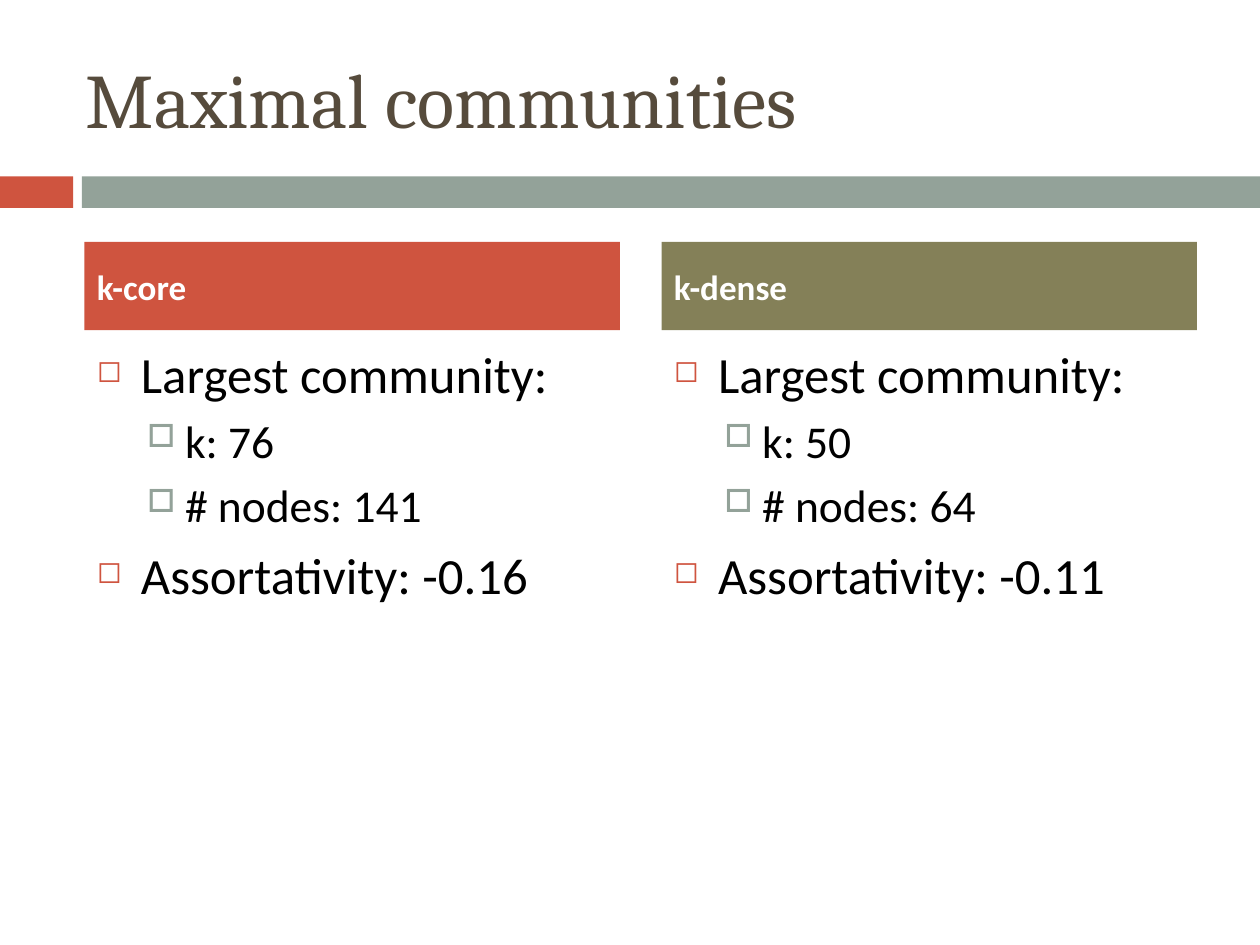
from lxml import etree
from pptx import Presentation
from pptx.dml.color import RGBColor
from pptx.enum.shapes import MSO_SHAPE
from pptx.enum.text import MSO_ANCHOR, PP_ALIGN
from pptx.oxml.ns import qn
from pptx.util import Inches, Pt

RECTANGLE = MSO_SHAPE.RECTANGLE
MIDDLE = MSO_ANCHOR.MIDDLE
LEFT = PP_ALIGN.LEFT

COLORS = {
    "title": "564B3C",
    "red": "CF543F",
    "sage": "93A299",
    "olive": "848058",
    "black": "000000",
    "white": "FFFFFF",
}

# Per outline level: text format, then bullet format
LEVELS = [
    (dict(size=29, before=7),
     dict(char="◻", color="red", percent=60, indent=0.35, hanging=0.35)),
    (dict(size=26, before=5.5),
     dict(char="□", color="sage", percent=70, indent=0.7, hanging=0.3)),
]

COLUMN_LEFT, COLUMN_WIDTH, COLUMN_STEP = 0.67, 4.25, 4.58
COLUMNS = [
    ("k-core", "red", 76, 141, "-0.16"),
    ("k-dense", "olive", 50, 64, "-0.11"),
]


def write(paragraph, text, size, color="black", font="Calibri", bold=False, before=0):
    paragraph.alignment = LEFT
    paragraph.space_before = Pt(before)
    run = paragraph.add_run()
    run.text = text
    run.font.name = font
    run.font.size = Pt(size)
    run.font.bold = bold
    run.font.color.rgb = RGBColor.from_string(COLORS[color])


def set_bullet(paragraph, char, color, percent, indent, hanging):
    properties = paragraph._p.get_or_add_pPr()
    properties.set("marL", str(Inches(indent)))
    properties.set("indent", str(-Inches(hanging)))
    bullet_color = etree.SubElement(properties, qn("a:buClr"))
    etree.SubElement(bullet_color, qn("a:srgbClr"), val=COLORS[color])
    etree.SubElement(properties, qn("a:buSzPct"), val=str(percent * 1000))
    etree.SubElement(properties, qn("a:buChar"), char=char)


def add_block(slide, left, top, width, height, color):
    block = slide.shapes.add_shape(
        RECTANGLE, Inches(left), Inches(top), Inches(width), Inches(height))
    block.shadow.inherit = False
    block.fill.solid()
    block.fill.fore_color.rgb = RGBColor.from_string(COLORS[color])
    block.line.fill.background()
    return block


def add_title(slide, text):
    title = slide.shapes.title
    title.left, title.top = Inches(0.58), Inches(0.3)
    title.width, title.height = Inches(8.92), Inches(0.95)
    title.text_frame.vertical_anchor = MIDDLE
    write(title.text_frame.paragraphs[0], text, 44, color="title", font="Cambria")


def add_header(slide, left, text, color):
    header = add_block(slide, left, 1.92, COLUMN_WIDTH, 0.7, color)
    header.text_frame.vertical_anchor = MIDDLE
    write(header.text_frame.paragraphs[0], text, 20, color="white", bold=True, before=7)


def add_outline(slide, left, items):
    outline = slide.shapes.add_textbox(
        Inches(left), Inches(2.67), Inches(COLUMN_WIDTH), Inches(3.92))
    frame = outline.text_frame
    frame.word_wrap = True
    for index, (level, text) in enumerate(items):
        paragraph = frame.add_paragraph() if index else frame.paragraphs[0]
        paragraph.level = level
        text_format, bullet_format = LEVELS[level]
        write(paragraph, text, **text_format)
        set_bullet(paragraph, **bullet_format)


def main():
    deck = Presentation()
    deck.slide_width, deck.slide_height = Inches(10), Inches(7.5)
    slide = deck.slides.add_slide(deck.slide_layouts[5])

    # Title and the band below it
    add_block(slide, 0, 1.4, 0.58, 0.25, "red")
    add_block(slide, 0.65, 1.4, 9.35, 0.25, "sage")
    add_title(slide, "Maximal communities")

    # One column per decomposition
    for index, (name, color, k, nodes, assortativity) in enumerate(COLUMNS):
        left = COLUMN_LEFT + index * COLUMN_STEP
        add_outline(slide, left, [
            (0, "Largest community:"),
            (1, f"k: {k}"),
            (1, f"# nodes: {nodes}"),
            (0, f"Assortativity: {assortativity}"),
        ])
        add_header(slide, left, name, color)

    deck.save("out.pptx")


if __name__ == "__main__":
    main()
